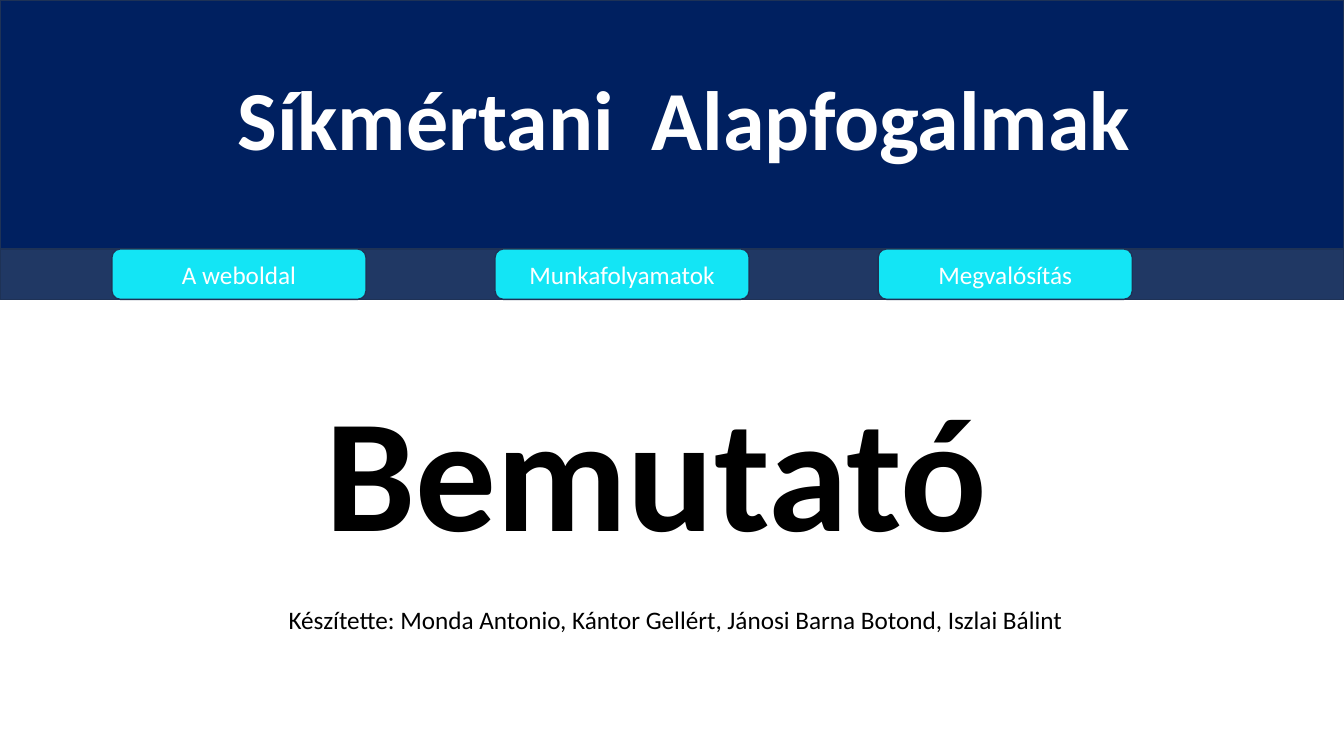
from pptx import Presentation
from pptx.dml.color import RGBColor
from pptx.enum.shapes import MSO_SHAPE
from pptx.enum.text import MSO_ANCHOR, MSO_AUTO_SIZE, PP_ALIGN
from pptx.util import Pt

EMU_PER_PX = 9144
PAGE_WIDTH, PAGE_HEIGHT = 1333, 750

NAVY = RGBColor(0x00, 0x20, 0x60)
SLATE = RGBColor(0x20, 0x38, 0x64)
OUTLINE = RGBColor(0x1E, 0x32, 0x56)
CYAN = RGBColor(0x13, 0xE5, 0xF5)
WHITE = RGBColor(0xFF, 0xFF, 0xFF)
BLACK = RGBColor(0x00, 0x00, 0x00)

RECTANGLE = MSO_SHAPE.RECTANGLE
ROUNDED = MSO_SHAPE.ROUNDED_RECTANGLE
CENTER = PP_ALIGN.CENTER
MIDDLE = MSO_ANCHOR.MIDDLE
GROW = MSO_AUTO_SIZE.SHAPE_TO_FIT_TEXT

HEADER_HEIGHT = 247
MENU_HEIGHT = 50
BUTTON_LEFT, BUTTON_WIDTH, BUTTON_STEP = 111, 252, 380
BUTTONS = ["A weboldal", "Munkafolyamatok", "Megvalósítás"]


def emu(*lengths):
    return [length * EMU_PER_PX for length in lengths]


class Painter:
    """Draws styled elements on the current slide, in px."""

    font_name = "Calibri"

    def __init__(self, page):
        self.page = page

    def set_text(self, frame, text, size, color, bold=False):
        frame.word_wrap = True
        para = frame.paragraphs[0]
        para.alignment = CENTER
        span = para.add_run()
        span.text = text
        span.font.color.rgb = color
        style = {"name": self.font_name, "size": Pt(size), "bold": bold}
        for name, value in style.items():
            setattr(span.font, name, value)

    def panel(self, bounds, fill, kind=RECTANGLE, outline=OUTLINE):
        shape = self.page.shapes.add_shape(kind, *emu(*bounds))
        shape.shadow.inherit = False
        shape.fill.solid()
        shape.fill.fore_color.rgb = fill
        if outline is None:
            shape.line.fill.background()
        else:
            shape.line.color.rgb = outline
            shape.line.width = Pt(1)
        return shape

    def labelled_panel(self, bounds, fill, text, size, color, bold=False, **look):
        frame = self.panel(bounds, fill, **look).text_frame
        frame.vertical_anchor = MIDDLE
        self.set_text(frame, text, size, color, bold)

    def caption(self, bounds, text, size, color, bold=False):
        box = self.page.shapes.add_textbox(*emu(*bounds))
        box.text_frame.auto_size = GROW
        self.set_text(box.text_frame, text, size, color, bold)


def main():
    deck = Presentation()
    deck.slide_width, deck.slide_height = emu(PAGE_WIDTH, PAGE_HEIGHT)
    painter = Painter(deck.slides.add_slide(deck.slide_layouts[6]))

    painter.panel((0, 0, PAGE_WIDTH, HEADER_HEIGHT), NAVY)
    painter.caption((223, 61, 911, 111), "Síkmértani  Alapfogalmak", 60, WHITE, bold=True)

    painter.panel((0, HEADER_HEIGHT, PAGE_WIDTH, MENU_HEIGHT), SLATE)
    for index, label in enumerate(BUTTONS):
        left = BUTTON_LEFT + index * BUTTON_STEP
        bounds = (left, HEADER_HEIGHT, BUTTON_WIDTH, MENU_HEIGHT)
        painter.labelled_panel(bounds, CYAN, label, 18, WHITE, kind=ROUNDED)

    painter.labelled_panel((245, 349, 812, 229), WHITE, "Bemutató", 115, BLACK,
                           bold=True, outline=None)
    painter.caption((191, 595, 958, 40),
                    "Készítette: Monda Antonio, Kántor Gellért, Jánosi Barna Botond, Iszlai Bálint",
                    18, BLACK)

    deck.save("out.pptx")


if __name__ == "__main__":
    main()
